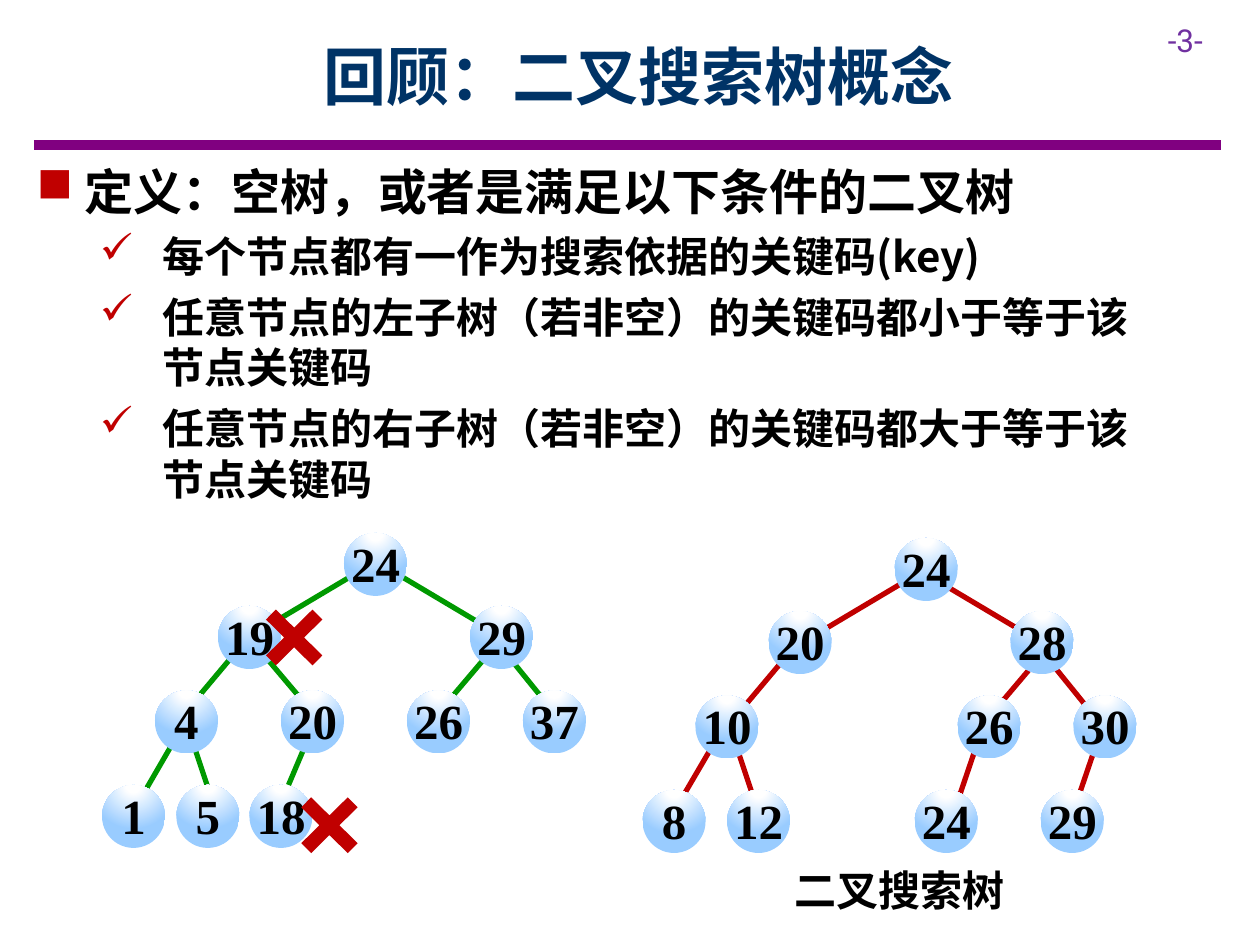
from lxml import etree
from pptx import Presentation
from pptx.dml.color import RGBColor
from pptx.enum.shapes import MSO_CONNECTOR, MSO_SHAPE
from pptx.enum.text import MSO_ANCHOR, PP_ALIGN
from pptx.oxml import parse_xml
from pptx.oxml.ns import nsdecls, qn
from pptx.util import Inches, Pt

STRAIGHT = MSO_CONNECTOR.STRAIGHT
OVAL, CROSS = MSO_SHAPE.OVAL, MSO_SHAPE.MATH_MULTIPLY
TOP, MIDDLE = MSO_ANCHOR.TOP, MSO_ANCHOR.MIDDLE
LEFT, CENTER = PP_ALIGN.LEFT, PP_ALIGN.CENTER

CJK, LATIN, DIGITS = "Noto Sans CJK SC", "Roboto", "Times New Roman"
BULLETS = "Wingdings"
BLACK, RED, GREEN, PURPLE = "000000", "C00000", "009900", "800080"
NODE = 0.5
LEVEL_TOPS = (4.23, 4.81, 5.48, 6.23)

# Each node: key, left, level, branch from its parent (x1, y1, x2, y2)
BROKEN_TREE = [
    ("24", 2.73, 0, None),
    ("19", 1.73, 1, (2.86, 4.53, 2.02, 5.03)),
    ("29", 3.73, 1, (3.11, 4.53, 3.9, 5)),
    ("4", 1.23, 2, (1.86, 5.19, 1.44, 5.69)),
    ("20", 2.23, 2, (2.02, 5.11, 2.4, 5.56)),
    ("26", 3.23, 2, (3.91, 5.15, 3.52, 5.61)),
    ("37", 4.15, 2, (4.02, 5.19, 4.36, 5.61)),
    ("1", 0.81, 3, (1.44, 5.78, 1.15, 6.28)),
    ("5", 1.4, 3, (1.52, 5.86, 1.67, 6.31)),
    ("18", 1.98, 3, (2.48, 5.78, 2.29, 6.23)),
]
SEARCH_TREE = [
    ("24", 7.1, 0, None),
    ("20", 6.1, 1, (7.19, 4.61, 6.35, 5.11)),
    ("28", 8.02, 1, (7.44, 4.61, 8.23, 5.08)),
    ("10", 5.52, 2, (6.19, 5.27, 5.77, 5.77)),
    ("26", 7.6, 2, (8.24, 5.23, 7.85, 5.69)),
    ("30", 8.52, 2, (8.35, 5.27, 8.69, 5.69)),
    ("8", 5.1, 3, (5.69, 5.86, 5.35, 6.44)),
    ("12", 5.77, 3, (5.85, 5.94, 6, 6.39)),
    ("24", 7.26, 3, (7.77, 5.86, 7.6, 6.36)),
    ("29", 8.26, 3, (8.69, 5.94, 8.52, 6.44)),
]
DEFINITION = [
    (0, "定义：空树，或者是满足以下条件的二叉树"),
    (1, "每个节点都有一作为搜索依据的关键码(key)"),
    (1, "任意节点的左子树（若非空）的关键码都小于等于该节点关键码"),
    (1, "任意节点的右子树（若非空）的关键码都大于等于该节点关键码"),
]
# Per list level: bullet (square, check mark), left margin, hanging indent, text size
LIST_LEVELS = [("n", 0.38, 0.38, 28), ("ü", 1, 0.5, 24)]


def rgb(color):
    return RGBColor.from_string(color)


def place(shape, left, top, width, height):
    shape.left, shape.top = Inches(left), Inches(top)
    shape.width, shape.height = Inches(width), Inches(height)


def style_runs(paragraph, face, size, color, bold=True):
    for run in paragraph.runs:
        font = run.font
        font.name, font.size, font.bold = face, Pt(size), bold
        font.color.rgb = rgb(color)
        east_asian = etree.Element(qn("a:ea"), typeface=face)
        run._r.rPr.find(qn("a:latin")).addnext(east_asian)


def add_label(slide, text, box, face, size, color=BLACK, bold=True,
              align=LEFT, anchor=TOP, wrap=False):
    label = slide.shapes.add_textbox(*map(Inches, box))
    frame = label.text_frame
    frame.text, frame.word_wrap, frame.vertical_anchor = text, wrap, anchor
    frame.paragraphs[0].alignment = align
    style_runs(frame.paragraphs[0], face, size, color, bold)


def add_line(slide, ends, color, weight):
    line = slide.shapes.add_connector(STRAIGHT, *map(Inches, ends))
    line.line.color.rgb, line.line.width = rgb(color), Pt(weight)
    etree.SubElement(line._element.spPr, qn("a:effectLst"))


def add_plain_shape(slide, preset, box):
    shape = slide.shapes.add_shape(preset, *map(Inches, box))
    shape.shadow.inherit = False
    shape.line.fill.background()
    return shape


def fill_as_ball(shape):
    """Shade from white at the top to light blue at the bottom."""
    stops = "".join(
        f'<a:gs pos="{pos}"><a:srgbClr val="{color}"/></a:gs>'
        for pos, color in ((0, "FFFFFF"), (18000, "FFFFFF"), (100000, "99CCFF")))
    gradient = parse_xml(
        f'<a:gradFill {nsdecls("a")} rotWithShape="1"><a:gsLst>{stops}</a:gsLst>'
        '<a:path path="circle"><a:fillToRect l="50000" t="-80000" r="50000" '
        'b="180000"/></a:path></a:gradFill>')
    shape._element.spPr.find(qn("a:prstGeom")).addnext(gradient)


def add_tree(slide, nodes, branch_color, drop=0):
    """Draw branches first so that the nodes cover their ends."""
    for _, _, _, branch in nodes:
        if branch:
            add_line(slide, branch, branch_color, 3)
    for key, left, level, _ in nodes:
        top = LEVEL_TOPS[level] + drop
        fill_as_ball(add_plain_shape(slide, OVAL, (left, top, NODE, NODE)))
        width = 0.59 if len(key) == 2 else 0.4
        key_box = (left + (NODE - width) / 2, top - 0.05, width, 0.57)
        add_label(slide, key, key_box, DIGITS, 28, align=CENTER, anchor=MIDDLE)


def add_cross(slide, left, top):
    cross = add_plain_shape(slide, CROSS, (left, top, 0.71, 0.7))
    cross.adjustments[0] = 0.159
    cross.fill.solid()
    cross.fill.fore_color.rgb = rgb(RED)


def set_bullet(paragraph, bullet, margin, hanging):
    props = paragraph._p.get_or_add_pPr()
    props.set("marL", str(Inches(margin)))
    props.set("indent", str(-Inches(hanging)))
    color = etree.SubElement(props, qn("a:buClr"))
    etree.SubElement(color, qn("a:srgbClr"), val=RED)
    etree.SubElement(props, qn("a:buFont"), typeface=BULLETS, charset="2")
    etree.SubElement(props, qn("a:buChar"), char=bullet)


def fill_title(title):
    place(title, 0.91, 0.1, 8.31, 1)
    frame = title.text_frame
    frame.text, frame.vertical_anchor = "回顾：二叉搜索树概念", MIDDLE
    frame.paragraphs[0].alignment = CENTER
    style_runs(frame.paragraphs[0], CJK, 36, "003366")


def fill_definition(body):
    place(body, 0.19, 1.23, 9.13, 2.84)
    frame = body.text_frame
    frame.text = "\n".join(text for _, text in DEFINITION)
    frame.vertical_anchor = TOP
    for paragraph, (level, _) in zip(frame.paragraphs, DEFINITION):
        bullet, margin, hanging, size = LIST_LEVELS[level]
        paragraph.level = level
        set_bullet(paragraph, bullet, margin, hanging)
        paragraph.space_before, paragraph.space_after = Pt(0), Pt(6)
        style_runs(paragraph, CJK, size, BLACK)


def main():
    deck = Presentation()
    deck.slide_width, deck.slide_height = Inches(10), Inches(7.5)
    slide = deck.slides.add_slide(deck.slide_layouts[1])
    add_line(slide, (0.27, 1.15, 9.69, 1.15), PURPLE, 6)
    add_label(slide, "-3-", (9.17, 0.12, 0.83, 0.4), LATIN, 18, "7030A0",
              bold=False, wrap=True)
    fill_title(slide.shapes.title)
    fill_definition(slide.placeholders[1])
    add_tree(slide, BROKEN_TREE, GREEN)
    add_tree(slide, SEARCH_TREE, RED, drop=0.04)
    add_cross(slide, 1.98, 4.71)
    add_cross(slide, 2.26, 6.2)
    add_label(slide, "二叉搜索树", (6.21, 6.81, 1.88, 0.5), CJK, 24)
    deck.save("out.pptx")


if __name__ == "__main__":
    main()
